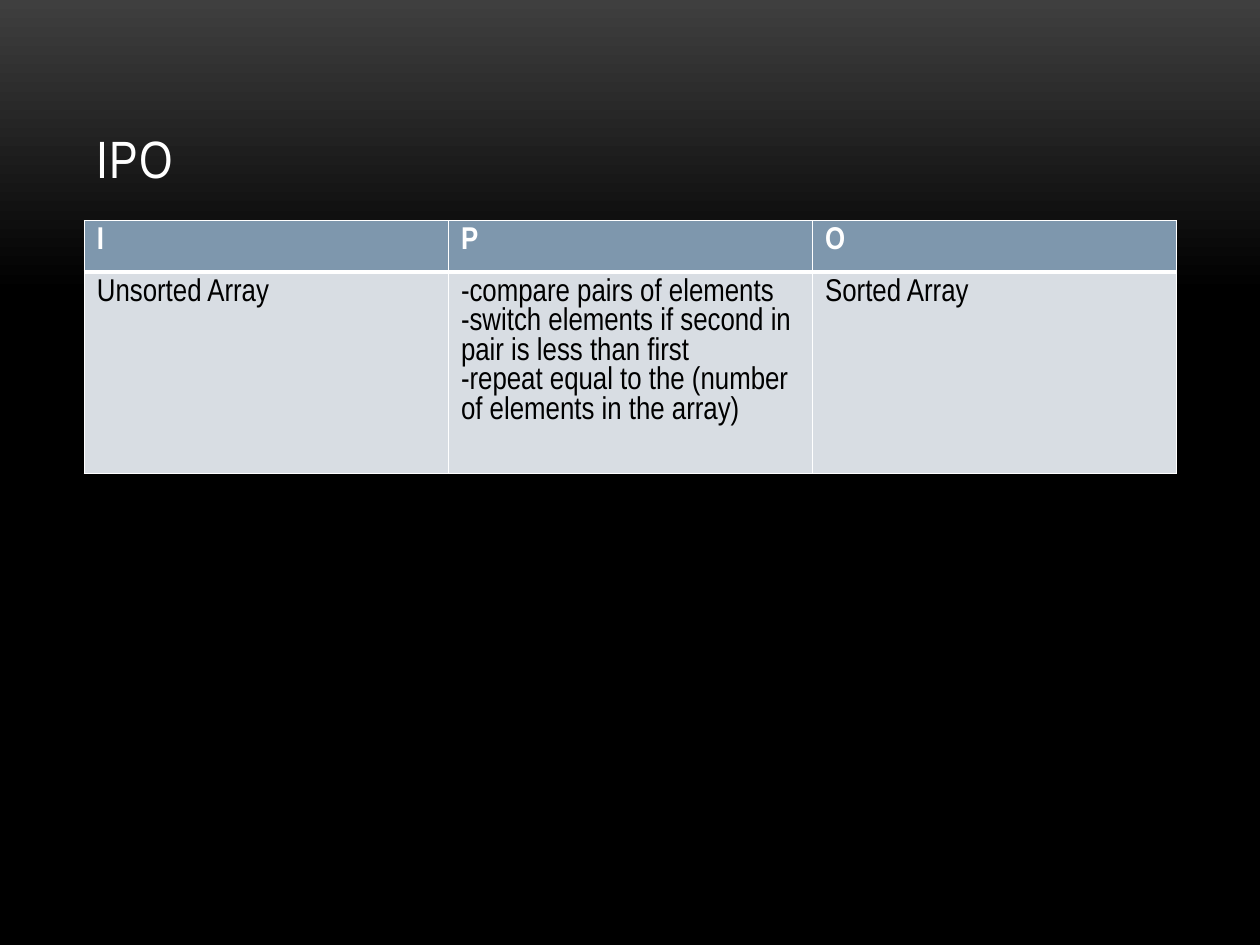
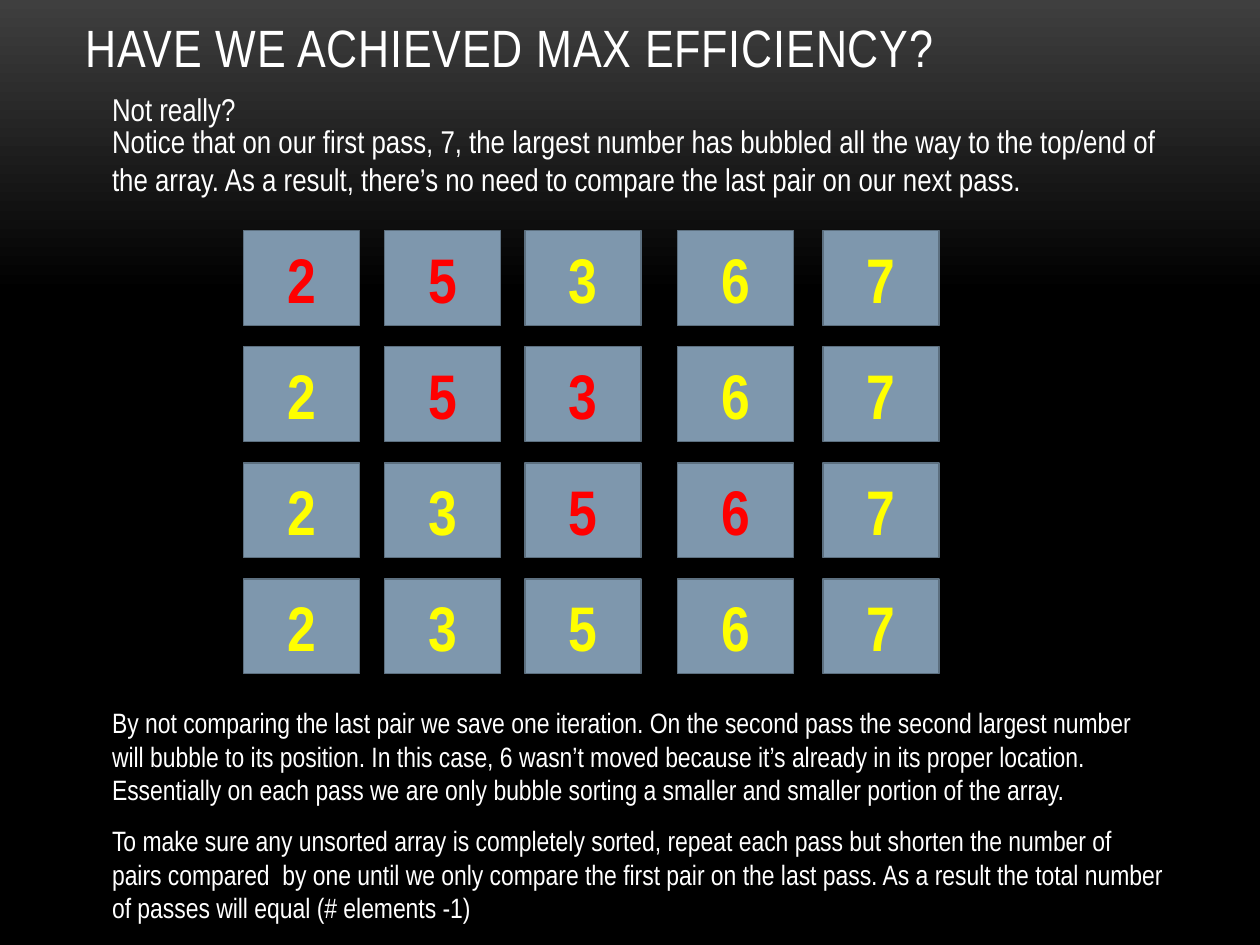
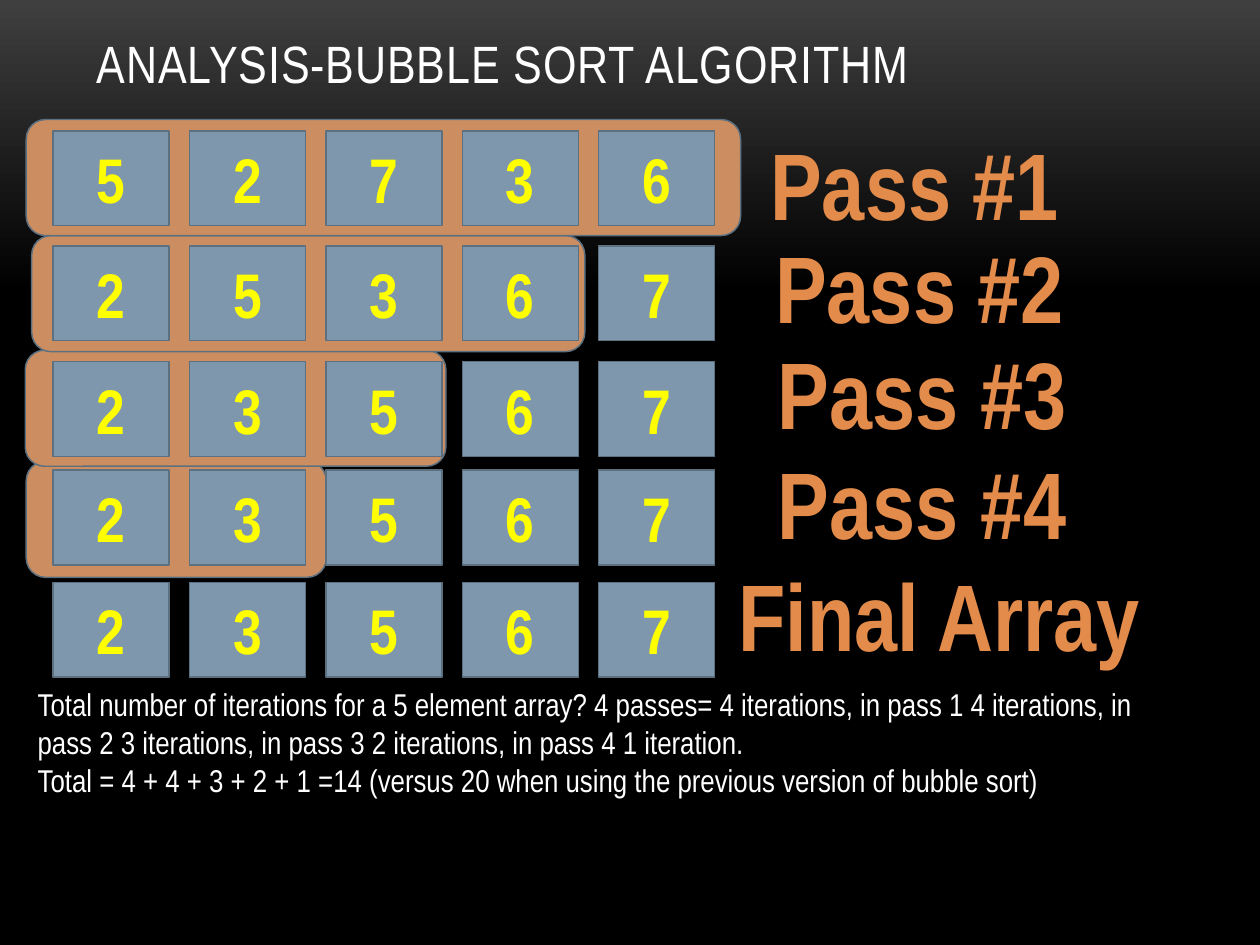
from copy import deepcopy

from lxml.etree import SubElement
from pptx import Presentation
from pptx.dml.color import RGBColor
from pptx.enum.shapes import MSO_SHAPE
from pptx.enum.text import MSO_ANCHOR, PP_ALIGN
from pptx.oxml.ns import qn
from pptx.util import Cm, Pt

FONT = "Arial Narrow"
WHITE, BLACK, GLOW = "FFFFFF", "000000", "3F3F3F"
BLUE, EDGE, PALE = "7E97AD", "5D7080", "D8DDE3"
YELLOW, RED = "FFFF00", "FF0000"
BAND, ORANGE = "CC8E60", "E28B4A"
TILE_WIDTH, TILE_HEIGHT, BAND_HEIGHT = 2.34, 1.91, 2.34


def color(value):
    """Turn a hex string into a colour."""
    return RGBColor.from_string(value)


def set_background(deck):
    """Give the master the dark gradient that every slide inherits."""
    master = deck.slide_master
    fill = master.background.fill
    fill.gradient()
    fill.gradient_angle = 270
    for stop, value, position in zip(fill.gradient_stops, (GLOW, BLACK), (0, 0.31)):
        stop.color.rgb = color(value)
        stop.position = position
    stops = next(master.element.iter(qn("a:gsLst")))
    stops.append(deepcopy(stops[-1]))
    stops[-1].set("pos", "100000")


def write(text_frame, text, size, value, bold=False, align=PP_ALIGN.LEFT):
    """Write text, one paragraph a line, and format its runs."""
    text_frame.text = text
    for paragraph in text_frame.paragraphs:
        paragraph.alignment = align
        for span in paragraph.runs:
            span.font.name = FONT
            span.font.size = Pt(size)
            span.font.bold = bold
            span.font.color.rgb = color(value)


def add_text(page, text, left, top, width, height, size=18):
    """Add a wrapped white text box."""
    box = page.shapes.add_textbox(Cm(left), Cm(top), Cm(width), Cm(height))
    box.text_frame.word_wrap = True
    write(box.text_frame, text, size, WHITE)
    return box


def add_title(page, text, left, top, width, height):
    """Add a slightly spaced title that sits on the bottom of its box."""
    box = add_text(page, text, left, top, width, height, 30)
    box.text_frame.vertical_anchor = MSO_ANCHOR.BOTTOM
    box.text_frame.paragraphs[0].runs[0].font._element.set("spc", "50")


def add_label(page, text, left, top, width):
    """Add a large orange label on one line."""
    box = page.shapes.add_textbox(Cm(left), Cm(top), Cm(width), Cm(2.57))
    box.text_frame.word_wrap = False
    write(box.text_frame, text, 54, ORANGE, True, PP_ALIGN.CENTER)


def add_block(page, kind, left, top, width, height, fill):
    """Add a filled shape with a thin edge."""
    block = page.shapes.add_shape(kind, Cm(left), Cm(top), Cm(width), Cm(height))
    block.shadow.inherit = False
    block.fill.solid()
    block.fill.fore_color.rgb = color(fill)
    block.line.color.rgb = color(EDGE)
    block.line.width = Pt(0.85)
    return block


def add_tiles(page, digits, lefts, top, compared=()):
    """Add one row of array elements, with the compared pair in red."""
    for index, (digit, left) in enumerate(zip(digits, lefts)):
        tile = add_block(page, MSO_SHAPE.RECTANGLE, left, top, TILE_WIDTH, TILE_HEIGHT, BLUE)
        tile.text_frame.vertical_anchor = MSO_ANCHOR.MIDDLE
        value = RED if index in compared else YELLOW
        write(tile.text_frame, digit, 36, value, True, PP_ALIGN.CENTER)


def set_borders(cell, top, bottom):
    """Draw white cell borders, with the given top and bottom widths."""
    properties = cell._tc.get_or_add_tcPr()
    widths = {"a:lnL": 1, "a:lnR": 1, "a:lnT": top, "a:lnB": bottom}
    for index, (tag, width) in enumerate(widths.items()):
        line = SubElement(properties, qn(tag), w=str(Pt(width)))
        SubElement(SubElement(line, qn("a:solidFill")), qn("a:srgbClr"), val=WHITE)
        properties.insert(index, line)


def add_grid(page, rows, heights, left, top, width):
    """Add a table with a blue header row."""
    frame = page.shapes.add_table(
        len(rows), len(rows[0]), Cm(left), Cm(top), Cm(width), Cm(sum(heights)))
    table = frame.table
    for row_index, (texts, height) in enumerate(zip(rows, heights)):
        table.rows[row_index].height = Cm(height)
        header = row_index == 0
        for column_index, text in enumerate(texts):
            cell = table.cell(row_index, column_index)
            cell.fill.solid()
            cell.fill.fore_color.rgb = color(BLUE if header else PALE)
            write(cell.text_frame, text, 18, WHITE if header else BLACK, header)
            set_borders(cell, 1 if header else 3, 3 if header else 1)


def build_ipo(page):
    """Build the input, process and output slide."""
    add_title(page, "IPO", 1.7, 0.76, 22.02, 3.18)
    process = "\n".join((
        "-compare pairs of elements",
        "-switch elements if second in pair is less than first",
        "-repeat equal to the (number of elements in the array)"))
    rows = (("I", "P", "O"), ("Unsorted Array", process, "Sorted Array"))
    add_grid(page, rows, (1.03, 3.2), 1.7, 4.45, 22.02)


def build_efficiency(page):
    """Build the slide that follows the second pass."""
    add_title(page, "HAVE WE ACHIEVED MAX EFFICIENCY?", 1.47, 0.1, 22.86, 1.6)
    add_text(page, "Not really?", 2.01, 1.7, 21.79, 1.02)
    add_text(page, "Notice that on our first pass, 7, the largest number has bubbled all the way "
             "to the top/end of the array. As a result, there’s no need to compare the last pair "
             "on our next pass.", 2.01, 2.34, 21.79, 2.57)
    lefts = (4.91, 7.75, 10.58, 13.66, 16.59)
    steps = (("25367", (0, 1)), ("25367", (1, 2)), ("23567", (2, 3)), ("23567", ()))
    for index, (digits, compared) in enumerate(steps):
        add_tiles(page, digits, lefts, 4.65 + 2.34 * index, compared)
    add_text(page, "By not comparing the last pair we save one iteration. On the second pass the "
             "second largest number will bubble to its position. In this case, 6 wasn’t moved "
             "because it’s already in its proper location. Essentially on each pass we are only "
             "bubble sorting a smaller and smaller portion of the array.",
             2.01, 14.1, 21.79, 2.31, 16)
    add_text(page, "To make sure any unsorted array is completely sorted, repeat each pass but "
             "shorten the number of pairs compared  by one until we only compare the first pair "
             "on the last pass. As a result the total number of passes will equal (# elements -1)",
             2.01, 16.48, 21.79, 2.31, 16)


def build_analysis(page):
    """Build the slide that counts the iterations of all passes."""
    bands = ((0.53, 9.3, 6.05), (0.51, 7.06, 8.48), (0.64, 4.75, 11.15), (0.53, 2.41, 14.4))
    for left, top, width in bands:
        add_block(page, MSO_SHAPE.ROUNDED_RECTANGLE, left, top, width, BAND_HEIGHT, BAND)
    add_title(page, "ANALYSIS-BUBBLE SORT ALGORITHM", 1.7, 0.43, 22.02, 1.6)
    lefts = [1.07 + 2.75 * column for column in range(5)]
    passes = (("52736", 2.64), ("25367", 4.96), ("23567", 7.29), ("23567", 9.48), ("23567", 11.74))
    for digits, top in passes:
        add_tiles(page, digits, lefts, top)
    labels = (("Pass #1", 15.24, 2.41, 6.4), ("Pass #2", 15.34, 4.5, 6.4),
              ("Pass #3", 15.39, 6.63, 6.4), ("Pass #4", 15.39, 8.84, 6.4),
              ("Final Array", 14.58, 11.1, 8.71))
    for label in labels:
        add_label(page, *label)
    add_text(page, "Total number of iterations for a 5 element array? 4 passes= 4 iterations, in "
             "pass 1 4 iterations, in pass 2 3 iterations, in pass 3 2 iterations, in pass 4 1 "
             "iteration.\nTotal = 4 + 4 + 3 + 2 + 1 =14 (versus 20 when using the previous "
             "version of bubble sort)", 0.51, 13.69, 22.89, 2.57)


def main():
    """Build the deck and save it."""
    deck = Presentation()
    deck.slide_width, deck.slide_height = Cm(25.4), Cm(19.05)
    set_background(deck)
    for build in (build_ipo, build_efficiency, build_analysis):
        build(deck.slides.add_slide(deck.slide_layouts[6]))
    deck.save("out.pptx")


main()
